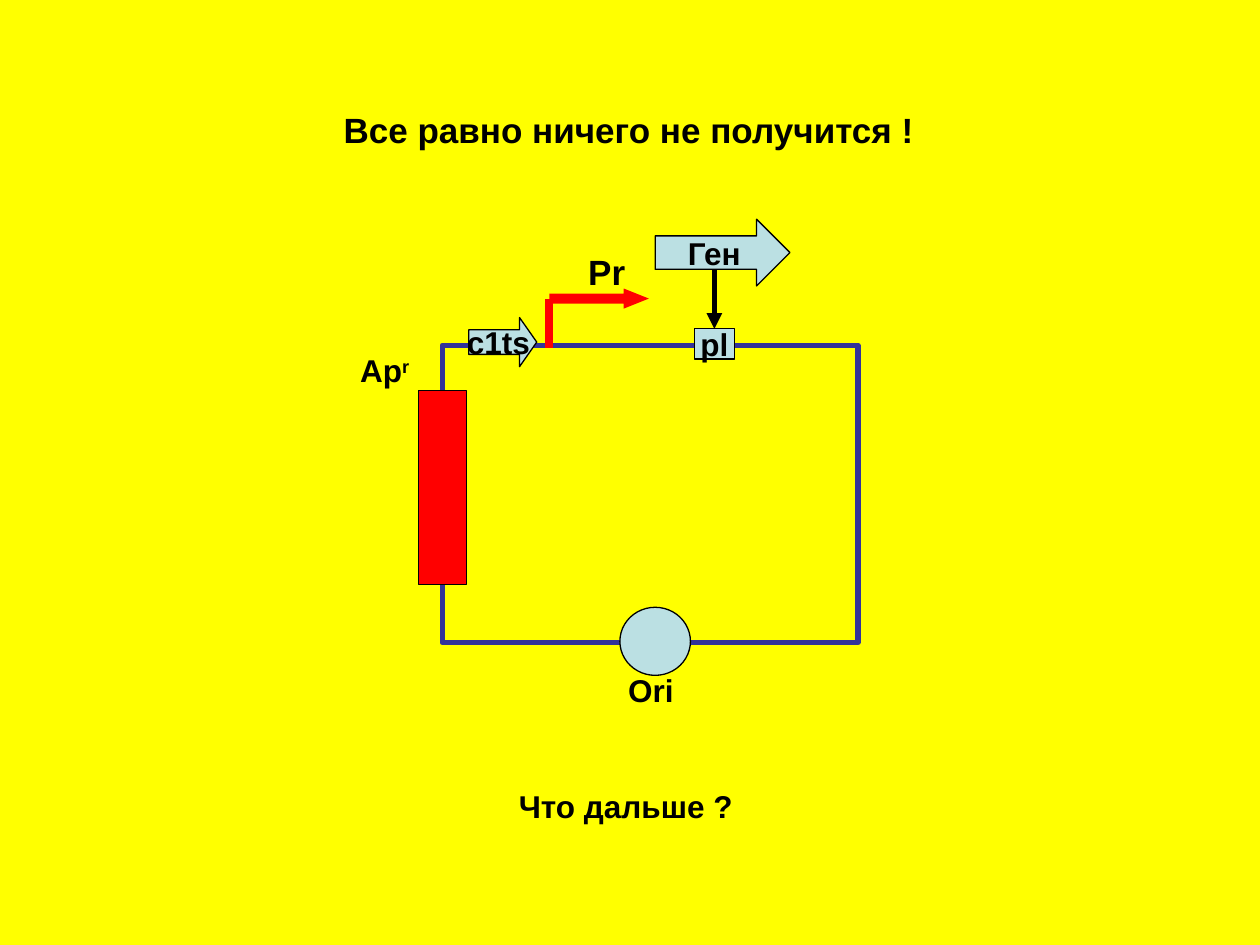
from dataclasses import dataclass

from lxml.etree import SubElement
from pptx import Presentation
from pptx.dml.color import RGBColor
from pptx.enum.shapes import MSO_CONNECTOR as Conn, MSO_SHAPE as Form
from pptx.enum.text import MSO_ANCHOR as Anchor, PP_ALIGN as Align
from pptx.oxml.ns import qn
from pptx.util import Inches, Pt

BLACK, RED, PALE, BLUE = "000000", "FF0000", "BBE0E3", "333399"


@dataclass
class Label:
    text: str
    box: tuple
    size: int = 18
    align: Align = Align.LEFT
    wrap: bool = False
    sup: str = ""


@dataclass
class Part:
    form: Form
    box: tuple
    fill: str = PALE
    line: str = BLACK
    width: float = 0.75
    text: str = ""
    head: float = 0


def paint(color, tone: str) -> None:
    color.rgb = RGBColor.from_string(tone)


def write(frame, label: Label) -> None:
    frame.word_wrap = label.wrap
    para = frame.paragraphs[0]
    para.alignment = label.align
    para.font.name = "Arial"
    para.font.size = Pt(label.size)
    para.font.bold = True
    paint(para.font.color, BLACK)
    para.add_run().text = label.text
    if label.sup:
        run = para.add_run()
        run.text = label.sup
        run._r.get_or_add_rPr().set("baseline", "30000")


def add_label(shapes, label: Label) -> None:
    box = shapes.add_textbox(*map(Inches, label.box))
    write(box.text_frame, label)


def add_part(shapes, part: Part):
    shape = shapes.add_shape(part.form, *map(Inches, part.box))
    shape.shadow.inherit = False
    if part.head:
        shape.adjustments[1] = part.head
    if part.fill:
        shape.fill.solid()
        paint(shape.fill.fore_color, part.fill)
    else:
        shape.fill.background()
    if part.line:
        paint(shape.line.color, part.line)
        shape.line.width = Pt(part.width)
    else:
        shape.line.fill.background()
    if part.text:
        shape.text_frame.vertical_anchor = Anchor.MIDDLE
        write(shape.text_frame, Label(part.text, part.box, align=Align.CENTER))
    return shape


def add_line(shapes, start: tuple, end: tuple, tone: str, width: float):
    line = shapes.add_connector(Conn.STRAIGHT, *map(Inches, start + end))
    paint(line.line.color, tone)
    line.line.width = Pt(width)
    SubElement(line._element.spPr, qn("a:effectLst"))
    return line


def main() -> None:
    deck = Presentation()
    deck.slide_width, deck.slide_height = Inches(10), Inches(7.5)
    slide = deck.slides.add_slide(deck.slide_layouts[6])
    slide.background.fill.solid()
    paint(slide.background.fill.fore_color, "FFFF00")
    shapes = slide.shapes

    ring = shapes.add_group_shape().shapes
    add_label(ring, Label("Ori", (4.74, 5.28, 0.85, 0.4),
                          align=Align.CENTER, wrap=True))
    add_part(ring, Part(Form.RECTANGLE, (3.51, 2.74, 3.3, 2.36), "", BLUE, 3))
    add_label(ring, Label("Ap", (2.76, 2.74, 0.85, 0.4), wrap=True, sup="r"))
    add_part(ring, Part(Form.OVAL, (4.92, 4.82, 0.56, 0.54)))
    add_part(ring, Part(Form.RECTANGLE, (3.32, 3.1, 0.38, 1.54), RED))

    start = shapes.add_group_shape().shapes
    add_line(start, (4.36, 2.76), (4.36, 2.37), RED, 4.5)
    add_part(start, Part(Form.RIGHT_ARROW, (4.36, 2.29, 0.79, 0.16),
                         RED, "", head=1.25))

    site = add_part(shapes, Part(Form.RECTANGLE, (5.51, 2.61, 0.32, 0.24),
                                 text="pl"))
    add_part(shapes, Part(Form.RIGHT_ARROW, (5.2, 1.74, 1.07, 0.53),
                          text="Ген", head=0.5))
    link = add_line(shapes, (5.67, 2.14), (5.67, 2.61), BLACK, 3)
    link.end_connect(site, 0)
    SubElement(link.line._get_or_add_ln(), qn("a:tailEnd"), type="triangle")

    for label in (
        Label("Все равно ничего не получится !", (2.62, 0.81, 4.74, 0.44), 20,
              Align.CENTER),
        Label("Рr", (4.57, 1.94, 0.6, 0.44), 20),
        Label("Что дальше ?", (4.02, 6.2, 1.9, 0.4)),
    ):
        add_label(shapes, label)
    add_part(shapes, Part(Form.RIGHT_ARROW, (3.72, 2.52, 0.54, 0.39),
                          text="c1ts", head=0.35))

    deck.save("out.pptx")


if __name__ == "__main__":
    main()
